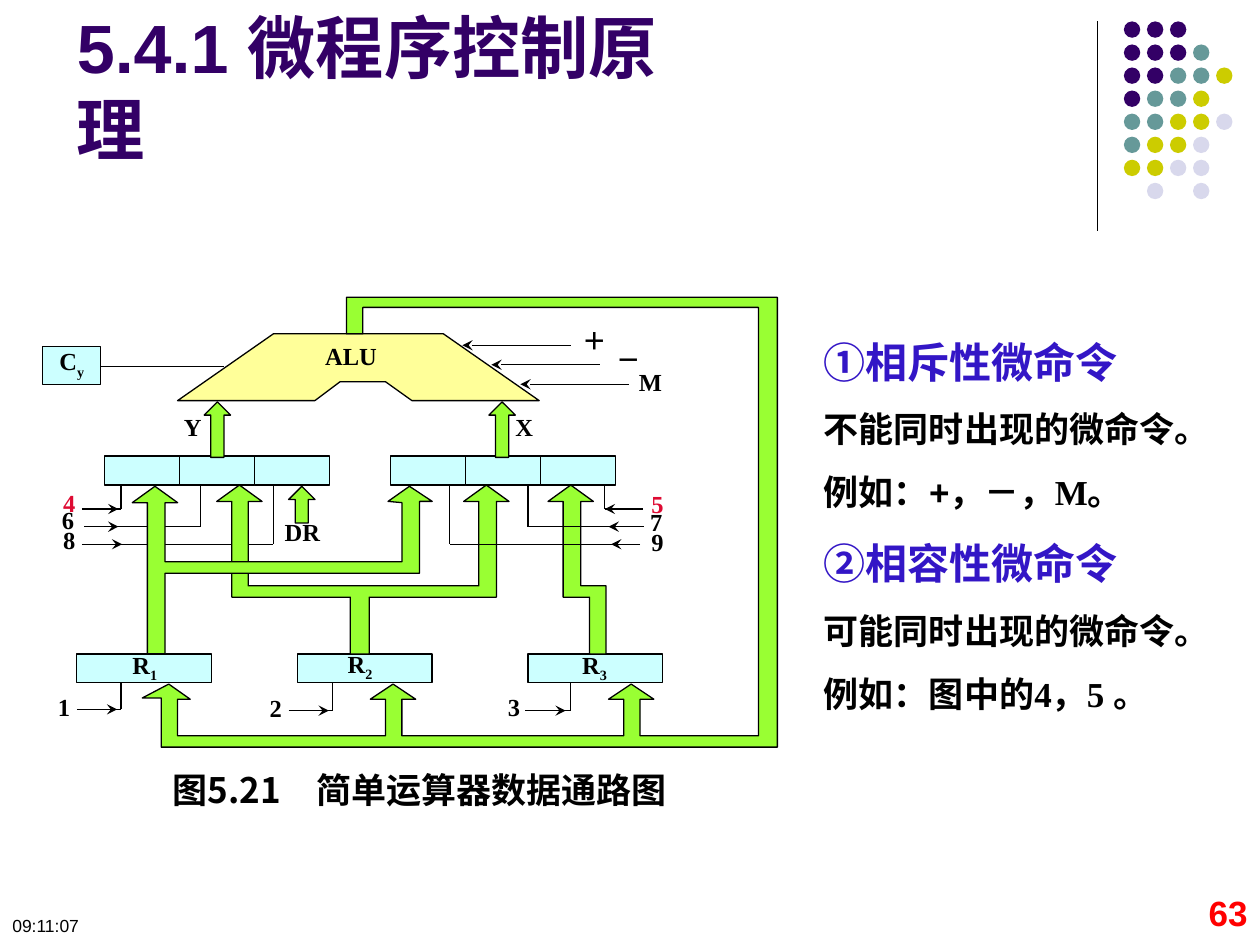
from lxml import etree
from pptx import Presentation
from pptx.dml.color import RGBColor
from pptx.enum.shapes import MSO_CONNECTOR, MSO_SHAPE
from pptx.enum.text import MSO_ANCHOR, MSO_AUTO_SIZE, PP_ALIGN
from pptx.oxml.ns import qn
from pptx.util import Inches, Pt

STRAIGHT = MSO_CONNECTOR.STRAIGHT
RECTANGLE, OVAL, UP_ARROW = MSO_SHAPE.RECTANGLE, MSO_SHAPE.OVAL, MSO_SHAPE.UP_ARROW
TOP, BOTTOM = MSO_ANCHOR.TOP, MSO_ANCHOR.BOTTOM
LEFT, CENTER, RIGHT = PP_ALIGN.LEFT, PP_ALIGN.CENTER, PP_ALIGN.RIGHT
NO_AUTOFIT = MSO_AUTO_SIZE.NONE

SANS, SERIF, CHINESE = "Arial", "Times New Roman", "Noto Sans CJK SC"
BLACK, RED, SIGNAL_RED, BLUE = "000000", "FF0000", "DE0A32", "3316C6"
PURPLE, CYAN, GREEN, YELLOW = "330066", "CCFFFF", "99FF33", "FFFF99"

DOT_COLORS = {"P": PURPLE, "T": "669999", "Y": "CCCC00", "L": "D8D8EC"}
DOT_ROWS = ["PPP", "PPPT", "PPTTY", "PTTY", "TTYYL", "TYYL", "YYLL", " L L"]

ALU = [(2.17, 2.65), (3.52, 2.65), (4.28, 3.18), (3.27, 3.18), (3.06, 3.03),
       (2.7, 3.03), (2.5, 3.18), (1.41, 3.18)]
BUS_R3 = [(4.53, 3.85), (4.35, 3.98), (4.47, 3.98), (4.47, 4.74), (4.68, 4.74),
          (4.68, 5.19), (4.81, 5.19), (4.81, 4.65), (4.61, 4.65), (4.61, 3.98),
          (4.71, 3.98)]
BUS_R2 = [(1.9, 3.85), (1.72, 3.98), (1.84, 3.98), (1.84, 4.74), (2.78, 4.74),
          (2.78, 5.19), (2.93, 5.19), (2.93, 4.74), (3.94, 4.74), (3.94, 3.98),
          (4.04, 3.98), (3.86, 3.85), (3.68, 3.98), (3.8, 3.98), (3.8, 4.65),
          (1.97, 4.65), (1.97, 3.98), (2.08, 3.98)]
BUS_R1 = [(1.17, 5.19), (1.17, 3.99), (1.05, 3.99), (1.23, 3.86), (1.41, 3.99),
          (1.31, 3.99), (1.31, 4.46), (3.19, 4.46), (3.19, 3.99), (3.08, 3.98),
          (3.25, 3.86), (3.43, 3.98), (3.33, 3.98), (3.33, 4.55), (1.31, 4.55),
          (1.31, 5.19)]
RESULT_BUS = [(2.88, 2.65), (2.88, 2.44), (6.02, 2.44), (6.02, 5.84), (5.08, 5.84),
              (5.08, 5.55), (5.19, 5.55), (5.01, 5.43), (4.83, 5.55), (4.95, 5.55),
              (4.95, 5.84), (3.19, 5.84), (3.19, 5.55), (3.3, 5.55), (3.12, 5.43),
              (2.94, 5.55), (3.06, 5.55), (3.06, 5.84), (1.41, 5.84), (1.41, 5.55),
              (1.51, 5.55), (1.34, 5.43), (1.13, 5.54), (1.28, 5.54), (1.28, 5.93),
              (6.17, 5.93), (6.17, 2.36), (2.75, 2.36), (2.75, 2.65)]

LEFT_SIGNALS = [("4", 0.5, 3.87, 0.65, 0.75, 0.96, 4.04),
                ("6", 0.49, 4.01, 0.67, 0.75, 1.59, 4.18),
                ("8", 0.5, 4.17, 0.65, 0.78, 2.17, 4.32)]
RIGHT_SIGNALS = [("5", 5.17, 3.88, 5.1, 4.99, 4.8, 4.04),
                 ("7", 5.16, 4.02, 5.11, 5.02, 4.19, 4.18),
                 ("9", 5.17, 4.18, 5.08, 5.04, 3.57, 4.32)]
REGISTER_SIGNALS = [("1", 0.46, 5.49, 0.61, 0.74, 0.96, 5.63),
                    ("2", 2.14, 5.5, 2.29, 2.42, 2.64, 5.64),
                    ("3", 4.03, 5.49, 4.17, 4.3, 4.53, 5.64)]

EXPLANATION = [
    [("①相斥性微命令", SANS)],
    [("不能同时出现的微命令。", SANS)],
    [("例如：+，－，", SANS), ("M", SERIF), ("。", SANS)],
    [("②相容性微命令", SANS)],
    [("可能同时出现的微命令。", SANS)],
    [("例如：图中的", SANS), ("4", SERIF), ("，", SANS), ("5 。", SERIF)],
]


def rgb(value):
    return RGBColor.from_string(value)


class Board:
    def __init__(self, slide):
        self.slide = slide
        self.shapes = slide.shapes
        self.line_width = Pt(0.75)

    def style_run(self, run, size, font=SERIF, color=BLACK, bold=True):
        run.font.size = Pt(size)
        run.font.bold = bold
        run.font.name = font
        run.font.color.rgb = rgb(color)
        properties = run.font._element
        etree.SubElement(properties, qn("a:ea")).set("typeface", CHINESE)

    def add_run(self, paragraph, text, size, font=SERIF, color=BLACK, bold=True):
        run = paragraph.add_run()
        run.text = text
        self.style_run(run, size, font, color, bold)
        return run

    def paint(self, shape, fill, outlined=True):
        shape.shadow.inherit = False
        shape.fill.solid()
        shape.fill.fore_color.rgb = rgb(fill)
        if outlined:
            shape.line.color.rgb = rgb(BLACK)
            shape.line.width = self.line_width
        else:
            shape.line.fill.background()

    def shape(self, kind, left, top, width, height, fill, outlined=True):
        shape = self.shapes.add_shape(
            kind, Inches(left), Inches(top), Inches(width), Inches(height))
        self.paint(shape, fill, outlined)
        return shape

    def polygon(self, points, fill):
        corners = [(Inches(x), Inches(y)) for x, y in points]
        builder = self.shapes.build_freeform(*corners[0])
        builder.add_line_segments(corners[1:], close=True)
        self.paint(builder.convert_to_shape(), fill)

    def line(self, x1, y1, x2, y2, arrow=False):
        connector = self.shapes.add_connector(
            STRAIGHT, Inches(x1), Inches(y1), Inches(x2), Inches(y2))
        connector.line.color.rgb = rgb(BLACK)
        connector.line.width = self.line_width
        if arrow:
            outline = connector.line._get_or_add_ln()
            etree.SubElement(outline, qn("a:tailEnd")).set("type", "stealth")
        etree.SubElement(connector._element.spPr, qn("a:effectLst"))

    def text_box(self, left, top, width, height):
        box = self.shapes.add_textbox(
            Inches(left), Inches(top), Inches(width), Inches(height))
        box.text_frame.word_wrap = True
        return box.text_frame

    def no_margins(self, frame):
        frame.margin_left = frame.margin_right = 0
        frame.margin_top = frame.margin_bottom = 0
        frame.vertical_anchor = TOP

    def label(self, text, left, top, width=0.21, height=0.28, subscript="",
              size=14, font=SERIF, color=BLACK):
        frame = self.text_box(left, top, width, height)
        self.no_margins(frame)
        self.name(frame.paragraphs[0], text, subscript, size, font, color)

    def name(self, paragraph, text, subscript="", size=14, font=SERIF, color=BLACK):
        self.add_run(paragraph, text, size, font, color)
        if subscript:
            run = self.add_run(paragraph, subscript, size, font, color)
            run.font._element.set("baseline", "-25000")

    def signal(self, number, label_x, label_y, start, arrow, drop, y, gate):
        self.line(start, y, drop, y)
        self.line(drop, gate, drop, y)
        step = 0.19 if start < drop else -0.19
        self.line(arrow, y, arrow + step, y, arrow=True)
        color = SIGNAL_RED if number in "45" else BLACK
        self.label(number, label_x, label_y, color=color)

    def title(self, text):
        title = self.shapes.title
        title.left, title.top = Inches(0.51), Inches(0.44)
        title.width, title.height = Inches(5.52), Inches(0.95)
        frame = title.text_frame
        frame.text = text
        frame.auto_size = NO_AUTOFIT
        frame.vertical_anchor = BOTTOM
        frame.margin_right = Inches(0.3)
        frame.paragraphs[0].alignment = LEFT
        self.style_run(frame.paragraphs[0].runs[0], 39, SANS, PURPLE)

    def explanation(self, lines):
        frame = self.text_box(6.44, 2.42, 3.39, 3.27)
        for index, parts in enumerate(lines):
            paragraph = frame.paragraphs[0] if index == 0 else frame.add_paragraph()
            paragraph.line_spacing = 1.5
            size, color = (24, BLUE) if index % 3 == 0 else (20, BLACK)
            for text, font in parts:
                self.add_run(paragraph, text, size, font, color)


def main():
    presentation = Presentation()
    presentation.slide_width, presentation.slide_height = Inches(10), Inches(7.5)
    board = Board(presentation.slides.add_slide(presentation.slide_layouts[5]))

    board.line(8.71, 0.17, 8.71, 1.83)
    for row, colors in enumerate(DOT_ROWS):
        for column, key in enumerate(colors):
            if key in DOT_COLORS:
                board.shape(OVAL, 8.92 + 0.183 * column, 0.17 + 0.183 * row,
                            0.13, 0.13, DOT_COLORS[key], outlined=False)

    for signal in LEFT_SIGNALS:
        board.signal(*signal, gate=3.85)
    board.line(0.8, 2.91, 1.78, 2.91)
    board.polygon(ALU, YELLOW)
    board.label("ALU", 2.58, 2.71, 0.58)

    for bank in (0.83, 3.1):
        for cell in range(3):
            board.shape(RECTANGLE, bank + 0.595 * cell, 3.62, 0.595, 0.23, CYAN)
    for left in (0.61, 2.36, 4.19):
        board.shape(RECTANGLE, left, 5.19, 1.07, 0.23, CYAN)
    for left, top, height in ((1.62, 3.19, 0.44), (3.88, 3.19, 0.44), (2.29, 3.86, 0.29)):
        board.shape(UP_ARROW, left, top, 0.21, height, GREEN)

    for step in range(3):
        x, y = 3.67 + 0.23 * step, 2.74 + 0.155 * step
        board.line(x + 0.86, y, x, y, arrow=True)
    for bus in (BUS_R3, BUS_R2, BUS_R1, RESULT_BUS):
        board.polygon(bus, GREEN)
    for signal in RIGHT_SIGNALS:
        board.signal(*signal, gate=3.86)
    for signal in REGISTER_SIGNALS:
        board.signal(*signal, gate=5.42)

    for text, left, top, width in (("DR", 2.26, 4.1, 0.4), ("Y", 1.46, 3.27, 0.21),
                                   ("X", 4.09, 3.27, 0.21), ("－", 4.89, 2.74, 0.19),
                                   ("＋", 4.62, 2.59, 0.24), ("M", 5.07, 2.91, 0.21)):
        board.label(text, left, top, width)
    for number, left, top in (("1", 1.05, 5.16), ("2", 2.76, 5.15), ("3", 4.62, 5.16)):
        board.label("R", left, top, 0.33, subscript=number)

    carry = board.shape(RECTANGLE, 0.34, 2.75, 0.46, 0.3, CYAN).text_frame
    board.no_margins(carry)
    carry.paragraphs[0].alignment = CENTER
    board.name(carry.paragraphs[0], "C", "y")

    board.label("图5.21　简单运算器数据通路图", 1.37, 6.1, 3.95, 0.34, size=20, font=CHINESE)
    board.explanation(EXPLANATION)
    board.title("5.4.1 微程序控制原理")

    clock = board.text_box(0, 7.21, 2.33, 0.29).paragraphs[0]
    board.add_run(clock, "09:11:07", 10, SANS, bold=False)
    page = board.text_box(9.02, 7.03, 0.98, 0.5).paragraphs[0]
    page.alignment = RIGHT
    board.add_run(page, "63", 20, SANS, RED)

    presentation.save("out.pptx")


if __name__ == "__main__":
    main()
